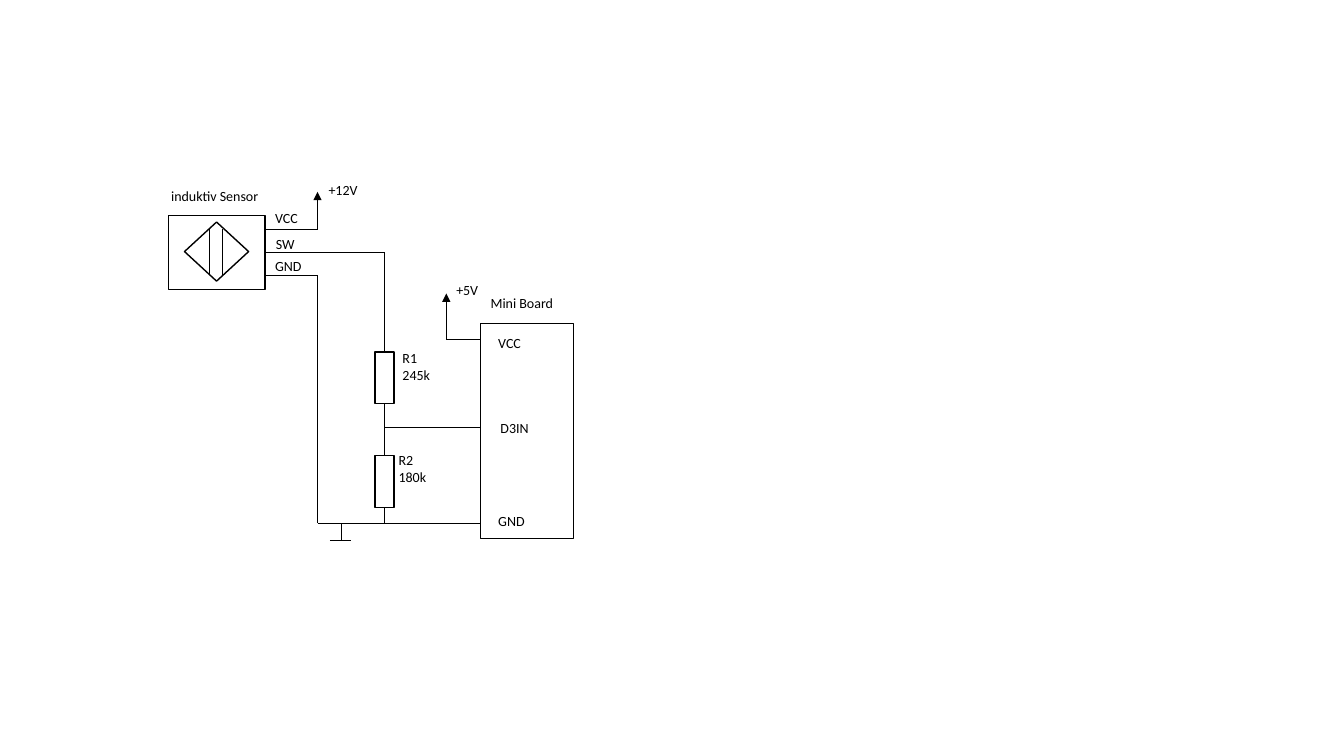
import pptx
import pptx.util
import pptx.dml.color
import pptx.enum.shapes
import pptx.enum.text
import pptx.oxml.ns
from lxml import etree

Pt = pptx.util.Pt
Kind = pptx.enum.shapes.MSO_SHAPE


def color(code):
    """Turn a hex string into a colour."""
    return pptx.dml.color.RGBColor.from_string(code)


class Sketch:
    """Holds the style and the current slide."""

    font, size = "Calibri", 10
    ink, paper = "000000", "FFFFFF"
    thick, thin = 1, 0.5

    def __init__(self, slide):
        """Keep the slide."""
        self.slide = slide

    def block(self, left, top, width, height, kind=Kind.RECTANGLE):
        """Draw an outlined block of the circuit."""
        shape = self.slide.shapes.add_shape(
            kind, Pt(left), Pt(top), Pt(width), Pt(height))
        shape.shadow.inherit = False
        shape.fill.solid()
        shape.fill.fore_color.rgb = color(self.paper)
        shape.line.color.rgb = color(self.ink)
        shape.line.width = Pt(self.thick)

    def wire(self, *points, arrow=False):
        """Join the points with lines, with an arrow at the end if asked."""
        for start, end in zip(points, points[1:]):
            line = self.slide.shapes.add_connector(
                pptx.enum.shapes.MSO_CONNECTOR.STRAIGHT,
                *map(Pt, start), *map(Pt, end))
            line.line.color.rgb = color(self.ink)
            line.line.width = Pt(self.thin)
            props = line._element.spPr
            etree.SubElement(props, pptx.oxml.ns.qn("a:effectLst"))
            if arrow and end == points[-1]:
                stroke = props.find(pptx.oxml.ns.qn("a:ln"))
                tip = etree.SubElement(stroke, pptx.oxml.ns.qn("a:tailEnd"))
                tip.set("type", "triangle")

    def label(self, text, left, top, width, height=19.4):
        """Write a label, one paragraph a line."""
        box = self.slide.shapes.add_textbox(
            Pt(left), Pt(top), Pt(width), Pt(height))
        frame = box.text_frame
        frame.word_wrap = True
        frame.auto_size = pptx.enum.text.MSO_AUTO_SIZE.SHAPE_TO_FIT_TEXT
        frame.text = text
        for para in frame.paragraphs:
            for run in para.runs:
                run.font.name = self.font
                run.font.size = Pt(self.size)
                run.font.color.rgb = color(self.ink)


deck = pptx.Presentation()
deck.slide_width, deck.slide_height = Pt(960), Pt(540)
sketch = Sketch(deck.slides.add_slide(deck.slide_layouts[6]))

# Columns and rows that the wires share
sensor, ground, node, supply, board = 189.4, 226.8, 274.8, 318.8, 343.4
power, signal, minus = 163.6, 180.5, 196.8
feed, tap, base = 242.2, 305.3, 373.6
upper, lower, length = 251.4, 325.6, 36.8

# Sensor
sketch.block(120.2, 154, 69.2, 52.7)
sketch.block(131.8, 158.6, 45.8, 42.2, Kind.DIAMOND)
for x in (149.4, 158.8):
    sketch.wire((x, power), (x, minus))

# Board and resistors
sketch.block(board, 231, 66.4, 153.8)
for top in (upper, lower):
    sketch.block(node - 6.8, top, 13.6, length)

# Supplies
sketch.wire((sensor, power), (ground, power), (ground, 137), arrow=True)
sketch.wire((board, feed), (supply, feed), (supply, 209.6), arrow=True)

# Signal through the divider
sketch.wire((sensor, signal), (node, signal), (node, upper))
sketch.wire((node, upper + length), (node, lower))
sketch.wire((node, lower + length), (node, base))
sketch.wire((node, tap), (board, tap))

# Ground
sketch.wire((sensor, minus), (ground, minus), (ground, base), (board, base))
sketch.wire((244, base), (244, 385.6))
sketch.wire((235.6, 385.9), (250.6, 385.9))

for label in (
    ("induktiv Sensor", 115.2, 130.6, 79.2),
    ("VCC", 189.4, 146.4, 46),
    ("SW", 190, 164.5, 33.1),
    ("GND", 189.4, 180.6, 40.3),
    ("+12V", 227.6, 126.2, 49.7),
    ("+5V", 318.8, 197.2, 37.4),
    ("Mini Board", 343.4, 206.8, 66.4),
    ("VCC", 348.8, 235.5, 40),
    ("D3IN", 350.4, 295.8, 51.8),
    ("GND", 348.8, 362.8, 44.6),
    ("R1\n245k", 280.4, 246.4, 42.5, 31.5),
    ("R2\n180k", 277.6, 319.3, 42.5, 31.5),
):
    sketch.label(*label)

deck.save("out.pptx")
